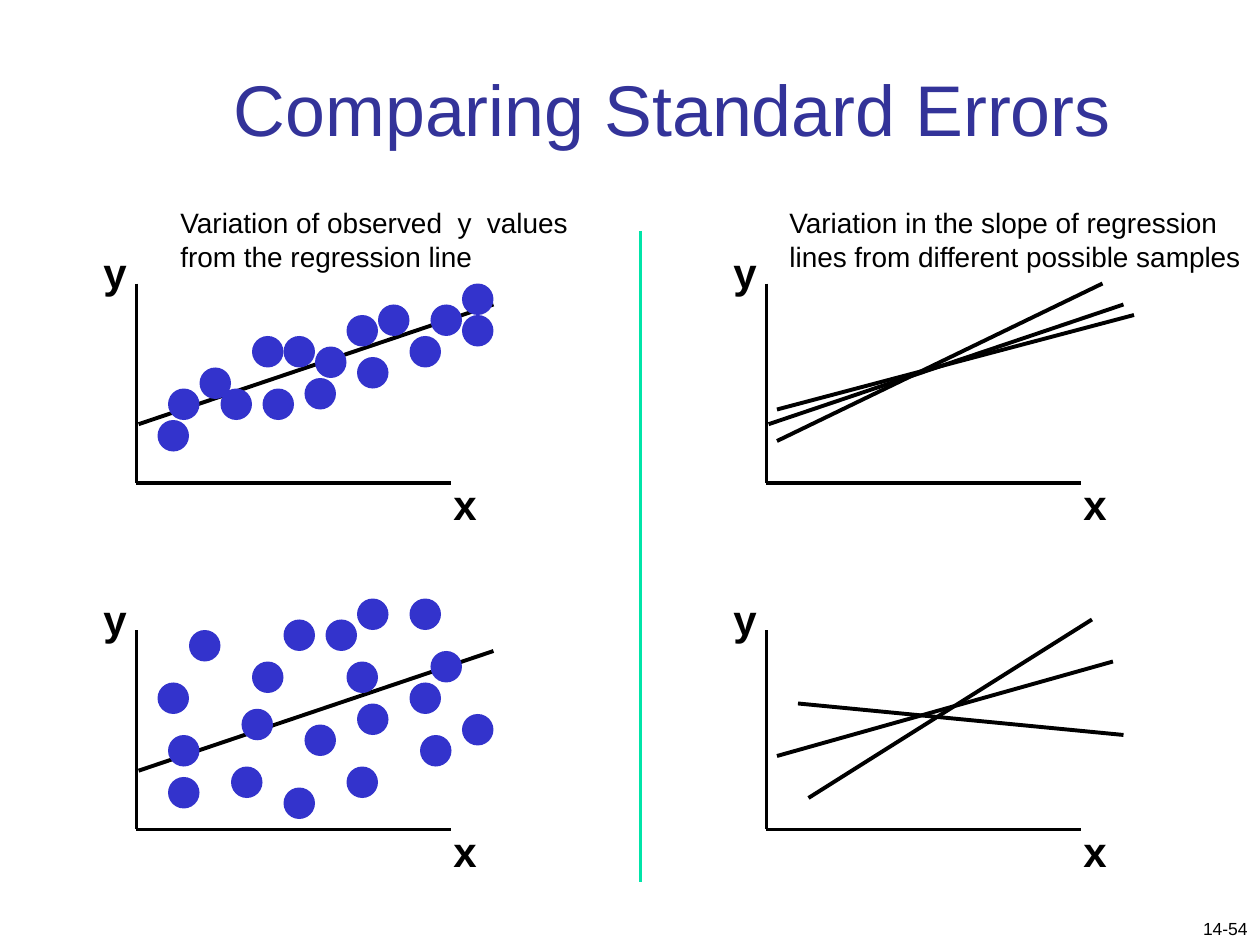
from dataclasses import dataclass

import pptx
import pptx.dml.color
import pptx.enum.shapes
import pptx.enum.text
import pptx.oxml.ns
import pptx.util
from lxml import etree

Pt = pptx.util.Pt
ALIGN = pptx.enum.text.PP_ALIGN
ANCHOR = pptx.enum.text.MSO_ANCHOR
COLORS = {"title": "333399", "ink": "000000", "dot": "3333CC", "divider": "00E4A8"}
STEP = 6
DOT_SIZE = 18
FIT_LINE = (0.2, 13.4, 34, 2)


@dataclass
class Plot:
    left: float
    top: float
    lines: list[tuple[float, float, float, float]]
    dots: list[tuple[float, float]]


COLUMNS = (78, 438)
ROWS = (162, 360)
PLOTS = [
    Plot(COLUMNS[0], ROWS[0], [FIT_LINE], [
        (2, 13), (3, 10), (31, 0), (28, 2), (8, 10), (26, 5), (23, 2), (6, 8),
        (11, 5), (21, 7), (16, 9), (12, 10), (17, 6), (20, 3), (14, 5), (31, 3)]),
    Plot(COLUMNS[0], ROWS[1], [FIT_LINE], [
        (3, 14), (3, 10), (26, -3), (28, 2), (9, 13), (26, 5), (20, 13),
        (21, -3), (14, -1), (2, 5), (5, 0), (10, 7.5), (21, 7), (16, 9),
        (14, 15), (31, 8), (20, 3), (18, -1), (11, 3), (27, 10)]),
    Plot(COLUMNS[1], ROWS[0], [FIT_LINE, (1, 12, 35, 3), (1, 15, 32, 0)], []),
    Plot(COLUMNS[1], ROWS[1], [(4, 16, 31, -1), (3, 7, 34, 10), (1, 12, 33, 3)], []),
]


def rgb(name: str) -> pptx.dml.color.RGBColor:
    return pptx.dml.color.RGBColor.from_string(COLORS[name])


def write_text(box, text: str, *, size: float, color: str = "ink", bold: bool = False,
               align=ALIGN.LEFT, anchor=ANCHOR.TOP, wrap: bool = True) -> None:
    frame = box.text_frame
    frame.word_wrap = wrap
    frame.vertical_anchor = anchor
    para = frame.paragraphs[0]
    para.alignment = align
    span = para.add_run()
    span.text = text
    span.font.name = "Arial"
    span.font.size = Pt(size)
    span.font.bold = bold
    span.font.color.rgb = rgb(color)


def add_text(page, left: float, top: float, width: float, height: float,
             text: str, **style) -> None:
    box = page.shapes.add_textbox(Pt(left), Pt(top), Pt(width), Pt(height))
    write_text(box, text, **style)


def add_line(page, x1: float, y1: float, x2: float, y2: float,
             weight: float = 2.25, color: str = "ink") -> None:
    line = page.shapes.add_connector(
        pptx.enum.shapes.MSO_CONNECTOR.STRAIGHT, Pt(x1), Pt(y1), Pt(x2), Pt(y2))
    line.line.width = Pt(weight)
    line.line.color.rgb = rgb(color)
    properties = line._element.find(pptx.oxml.ns.qn("p:spPr"))
    etree.SubElement(properties, pptx.oxml.ns.qn("a:effectLst"))


def add_dot(page, left: float, top: float) -> None:
    dot = page.shapes.add_shape(pptx.enum.shapes.MSO_SHAPE.OVAL,
                                Pt(left), Pt(top), Pt(DOT_SIZE), Pt(DOT_SIZE))
    dot.shadow.inherit = False
    dot.fill.solid()
    dot.fill.fore_color.rgb = rgb("dot")
    dot.line.fill.background()


def draw_plot(page, plot: Plot) -> None:
    left, top = plot.left, plot.top
    base = top + 19 * STEP
    add_line(page, left, top, left, base, weight=2)
    add_line(page, left, base, left + 30 * STEP, base, weight=2)
    for x1, y1, x2, y2 in plot.lines:
        add_line(page, left + x1 * STEP, top + y1 * STEP,
                 left + x2 * STEP, top + y2 * STEP)
    for column, row in plot.dots:
        add_dot(page, left + column * STEP, top + row * STEP)
    for text, across, down in (("y", -26, -24.5), ("x", 174, 108)):
        add_text(page, left + across, top + down, 28, 36, text,
                 size=24, bold=True, wrap=False)


def main() -> None:
    deck = pptx.Presentation()
    deck.slide_width, deck.slide_height = Pt(720), Pt(540)
    page = deck.slides.add_slide(deck.slide_layouts[5])

    title = page.shapes.title
    title.left, title.top, title.width, title.height = Pt(78), Pt(30), Pt(613), Pt(60)
    write_text(title, "Comparing Standard Errors", size=41, color="title",
               align=ALIGN.CENTER, anchor=ANCHOR.BOTTOM)

    for plot in PLOTS:
        draw_plot(page, plot)
    add_text(page, 96, 114, 240, 46,
             "Variation of observed  y  values from the regression line", size=16)
    add_text(page, 444, 114, 276, 46,
             "Variation in the slope of regression lines from different possible samples",
             size=16)
    add_line(page, 366, 132, 366, 504, color="divider")
    add_text(page, 570, 515.5, 150, 24.5, "14-54", size=10,
             align=ALIGN.RIGHT, anchor=ANCHOR.BOTTOM)
    deck.save("out.pptx")


if __name__ == "__main__":
    main()
